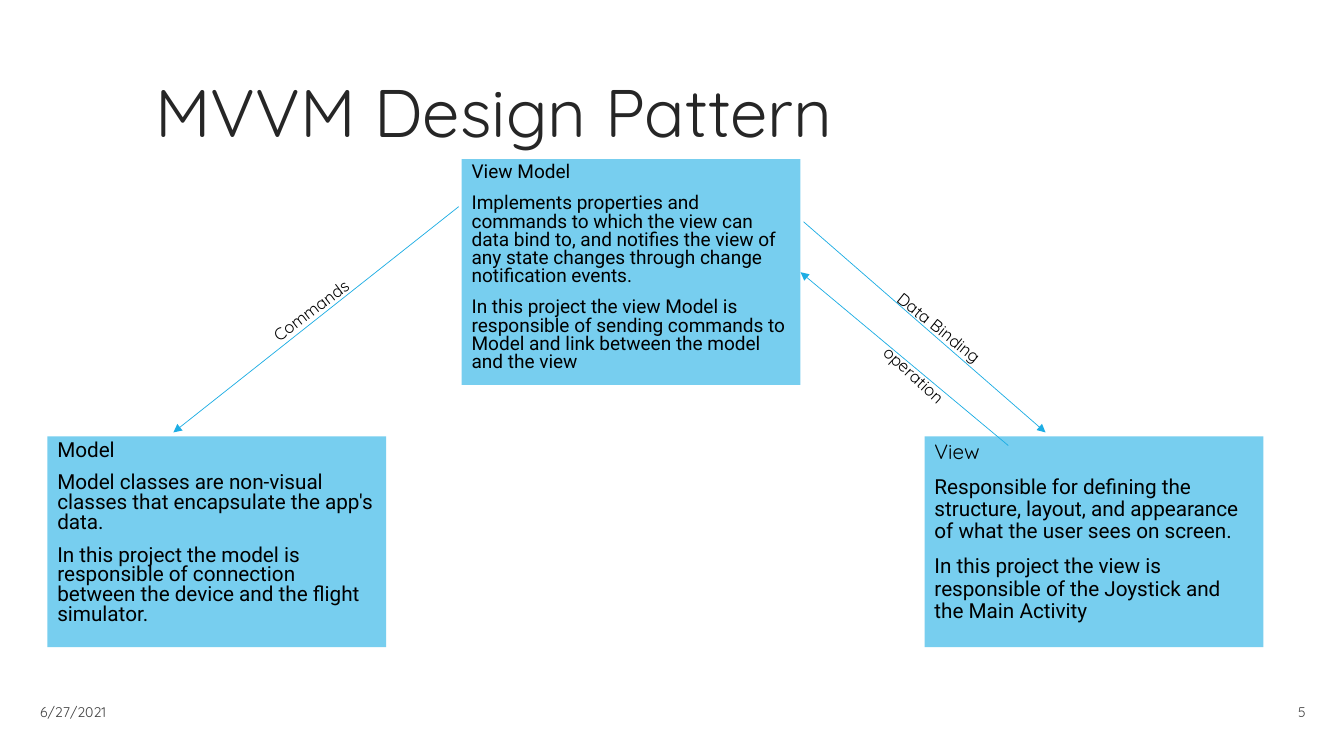
"""Build the MVVM design pattern slide."""
import pptx
import pptx.util
import pptx.dml.color
import pptx.enum.shapes
import pptx.enum.text
import pptx.oxml
import pptx.oxml.ns

Inches, Pt = pptx.util.Inches, pptx.util.Pt
ALIGN, ANCHOR = pptx.enum.text.PP_ALIGN, pptx.enum.text.MSO_ANCHOR

COLORS = {"title": "262626", "footer": "404040", "text": "000000",
          "box": "77CEEF", "arrow": "1CADE4"}
HEAD, BODY = "Quicksand", "Roboto"

TITLE = "MVVM Design Pattern"
BOX_W = 3.36
BOXES = [
    {"at": (4.58, 1.58), "height": 2.24, "size": 13.6, "spacing": 0.8, "font": BODY,
     "text": ["View Model",
              "Implements properties and commands to which the view can data bind to, "
              "and notifies the view of any state changes through change notification events.",
              "In this project the view Model is responsible of sending commands to Model "
              "and link between the model and the view"]},
    {"at": (0.47, 4.33), "height": 2.09, "size": 14.8, "spacing": 0.8, "font": BODY,
     "text": ["Model",
              "Model classes are non-visual classes that encapsulate the app's data.",
              "In this project the model is responsible of connection between the device "
              "and the flight simulator."]},
    {"at": (9.17, 4.33), "height": 2.09, "size": 14.8, "spacing": 0.9, "font": HEAD,
     "text": ["View",
              "Responsible for defining the structure, layout, and appearance of what "
              "the user sees on screen.",
              "In this project the view is responsible of the Joystick and the Main Activity"]},
]
ARROWS = [
    ((4.55, 2.05), (1.72, 4.29)),
    ((7.97, 2.2), (10.37, 4.29)),
    ((10, 4.42), (7.94, 2.7)),
]
LABELS = [
    ("Data Binding", (8.66, 3.26, 1.71, 0.3), 38.6),
    ("operation", (8.58, 3.61, 1.06, 0.3), 42.7),
    ("Commands", (2.53, 2.89, 1.2, 0.3), 322.7),
]
FOOTERS = [
    ("6/27/2021", (0.3, 6.9, 3, 0.3), ALIGN.LEFT),
    ("5", (11.45, 6.9, 1.6, 0.3), ALIGN.RIGHT),
]


def rgb(name):
    """Return the named colour."""
    return pptx.dml.color.RGBColor.from_string(COLORS[name])


def style(para, font, size, color, align=ALIGN.LEFT):
    """Format one paragraph."""
    para.font.name = font
    para.font.size = Pt(size)
    para.font.color.rgb = rgb(color)
    para.alignment = align


def add_title(slide):
    """Place and format the title."""
    title = slide.shapes.title
    title.left, title.top, title.width, title.height = map(Inches, (1.44, 0.4, 11, 1.5))
    frame = title.text_frame
    frame.text = TITLE
    frame.vertical_anchor = ANCHOR.MIDDLE
    para = frame.paragraphs[0]
    style(para, HEAD, 48, "title")
    para.line_spacing = 0.9


def add_label(slide, text, at, size, color, align=ALIGN.LEFT, anchor=ANCHOR.TOP, turn=0):
    """Add a one-line text box."""
    label = slide.shapes.add_textbox(*map(Inches, at))
    label.rotation = turn
    frame = label.text_frame
    frame.word_wrap = True
    frame.vertical_anchor = anchor
    frame.text = text
    style(frame.paragraphs[0], HEAD, size, color, align)


def add_box(slide, box):
    """Add a filled box with a heading and its paragraphs."""
    shape = slide.shapes.add_shape(
        pptx.enum.shapes.MSO_SHAPE.RECTANGLE,
        *map(Inches, (*box["at"], BOX_W, box["height"])))
    shape.shadow.inherit = False
    shape.fill.solid()
    shape.fill.fore_color.rgb = rgb("box")
    shape.line.fill.background()
    frame = shape.text_frame
    frame.word_wrap = True
    frame.vertical_anchor = ANCHOR.TOP
    for i, text in enumerate(box["text"]):
        para = frame.add_paragraph() if i else frame.paragraphs[0]
        para.text = text
        style(para, BODY if i else box["font"], box["size"], "text")
        para.line_spacing = box["spacing"]
        para.space_before = Pt(9)


def add_arrow(slide, start, end):
    """Add a thin arrow from start to end."""
    arrow = slide.shapes.add_connector(
        pptx.enum.shapes.MSO_CONNECTOR.STRAIGHT, *map(Inches, start + end))
    arrow.line.color.rgb = rgb("arrow")
    arrow.line.width = Pt(0.5)
    line = arrow.line._get_or_add_ln()
    tail = pptx.oxml.parse_xml(
        '<a:tailEnd %s type="triangle"/>' % pptx.oxml.ns.nsdecls("a"))
    line.append(tail)
    line.getparent().append(
        pptx.oxml.parse_xml("<a:effectLst %s/>" % pptx.oxml.ns.nsdecls("a")))


def main():
    """Build and save the deck."""
    deck = pptx.Presentation()
    deck.slide_width, deck.slide_height = Inches(13.33), Inches(7.5)
    slide = deck.slides.add_slide(deck.slide_layouts[5])
    add_title(slide)
    for text, at, align in FOOTERS:
        add_label(slide, text, at, 10, "footer", align, ANCHOR.BOTTOM)
    for box in BOXES:
        add_box(slide, box)
    for start, end in ARROWS:
        add_arrow(slide, start, end)
    for text, at, turn in LABELS:
        add_label(slide, text, at, 12, "text", turn=turn)
    deck.save("out.pptx")


if __name__ == "__main__":
    main()
